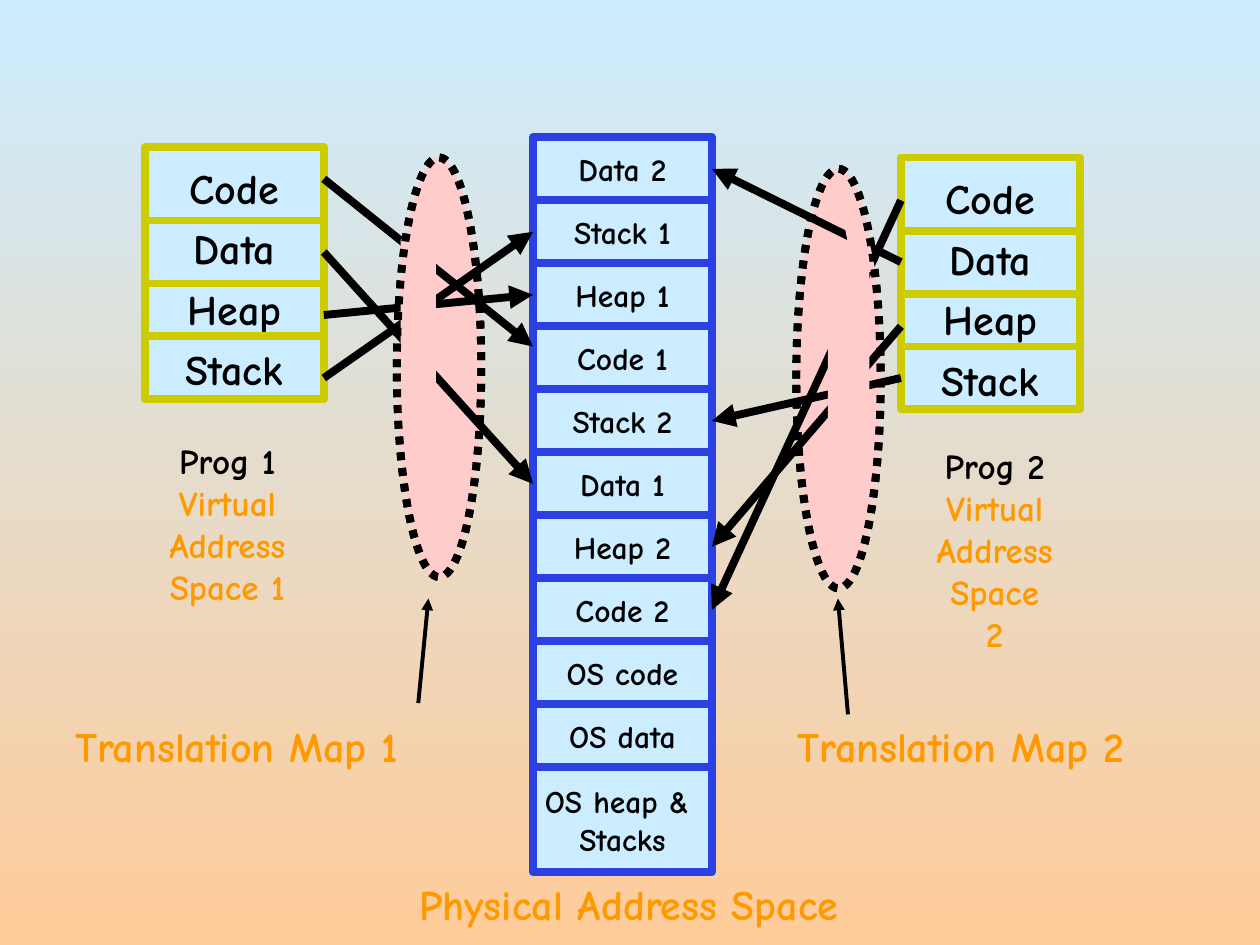
from dataclasses import dataclass
from lxml.etree import SubElement
from pptx import Presentation
from pptx.dml.color import RGBColor
from pptx.enum.dml import MSO_LINE_DASH_STYLE as Dash
from pptx.enum.shapes import MSO_CONNECTOR as Conn, MSO_SHAPE as Shape
from pptx.enum.text import MSO_ANCHOR as Anchor, MSO_AUTO_SIZE as AutoSize, PP_ALIGN as Align
from pptx.oxml.ns import qn
from pptx.util import Inches, Pt


@dataclass(frozen=True)
class Theme:
    font: str = "Comic Neue"
    ink: str = "000000"
    accent: str = "FF9900"
    cell: str = "CCECFF"
    ground: str = "FFCC99"
    virtual: str = "CCCC00"
    physical: str = "2A40E2"
    lens: str = "FFCCCC"
    big: int = 24
    mid: int = 20
    small: int = 18
    thick: float = 4.5
    thin: float = 2.25


T = Theme()
SEGMENTS = ["Code", "Data", "Heap", "Stack"]
MEMORY = ["Data 2", "Stack 1", "Heap 1", "Code 1", "Stack 2", "Data 1",
          "Heap 2", "Code 2", "OS code", "OS data", "OS heap & \nStacks"]
DIVIDERS = [0.58, 1.08, 1.5]
PROGRAMS = [
    dict(n=1, left=1.15, top=1.17, exits=[0.25, 0.83, 1.33, 1.83],
         label=(1.24, 3.44), lens=(3.15, 1.25)),
    dict(n=2, left=7.15, top=1.25, exits=[0.34, 0.83, 1.34, 1.75],
         label=(7.33, 3.48), lens=(6.32, 1.34)),
]
NUDGES = {"Code 1": -0.09}
MASKS = [(3.18, 1.9, 0.28, 1.5, 0), (6.57, 2.09, 0.33, 1.58, 0), (6.73, 1.67, 0.17, 0.5, 348.5)]
CAPTIONS = [("Translation Map 1", 0.5, 5.67, 2.77), ("Translation Map 2", 6.23, 5.67, 2.81),
            ("Physical Address Space", 3.23, 6.92, 3.54)]
POINTERS = [((3.32, 5.58), (3.4, 4.75)), ((6.73, 5.67), (6.65, 4.75))]
BOX_W, BOX_H = 1.42, 2
MEM_LEFT, MEM_TOP, ROW, LAST_ROW = 4.23, 1.09, 0.5, 0.83
LENS_SIZE = (0.67, 3.33)


def rgb(value):
    return RGBColor.from_string(value)


def write(sp, text, size, colors=(T.ink,), align=Align.CENTER, spacing=None):
    tf = sp.text_frame
    tf.word_wrap = False
    for i, line in enumerate(text.split("\n")):
        p = tf.paragraphs[0] if i == 0 else tf.add_paragraph()
        p.alignment = align
        if spacing:
            p.line_spacing = spacing
        r = p.add_run()
        r.text = line
        r.font.name, r.font.size, r.font.bold = T.font, Pt(size), True
        r.font.color.rgb = rgb(colors[min(i, len(colors) - 1)])


def label(shapes, text, x, y, w, h, **fmt):
    sp = shapes.add_textbox(*map(Inches, (x, y, w, h)))
    write(sp, text, **fmt)
    sp.text_frame.auto_size = AutoSize.SHAPE_TO_FIT_TEXT


def block(shapes, kind, x, y, w, h, fill=None, line=None, dash=None):
    sp = shapes.add_shape(kind, *map(Inches, (x, y, w, h)))
    sp.shadow.inherit = False
    if fill:
        sp.fill.solid()
        sp.fill.fore_color.rgb = rgb(fill)
    else:
        sp.fill.background()
    if line:
        sp.line.color.rgb = rgb(line)
        sp.line.width = Pt(T.thick)
        if dash:
            sp.line.dash_style = dash
    else:
        sp.line.fill.background()
    sp.text_frame.vertical_anchor = Anchor.MIDDLE
    return sp


def connect(shapes, start, end, color=T.ink, width=T.thick, arrow=True):
    c = shapes.add_connector(Conn.STRAIGHT, *map(Inches, (*start, *end)))
    c.line.color.rgb = rgb(color)
    c.line.width = Pt(width)
    if arrow:
        SubElement(c.line._get_or_add_ln(), qn("a:tailEnd"), type="triangle")
    SubElement(c._element.spPr, qn("a:effectLst"))


def add_lens(shapes, prog, fill=None):
    block(shapes, Shape.OVAL, *prog["lens"], *LENS_SIZE, fill, T.ink, Dash.ROUND_DOT)


def add_program(shapes, prog):
    x, y = prog["left"], prog["top"]
    label(shapes, f"Prog {prog['n']}\nVirtual\nAddress\nSpace {prog['n']}", *prog["label"],
          1.13, 1.43, size=T.mid, colors=(T.ink, T.accent))
    grp = shapes.add_group_shape().shapes
    sp = block(grp, Shape.RECTANGLE, x, y, BOX_W, BOX_H, T.cell, T.virtual)
    write(sp, "\n".join(SEGMENTS), T.big, spacing=1.2)
    for dy in DIVIDERS:
        connect(grp, (x, y + dy), (x + BOX_W, y + dy), T.virtual, arrow=False)


def add_memory(shapes):
    grp = shapes.add_group_shape().shapes
    for i, name in enumerate(MEMORY):
        h = LAST_ROW if i == len(MEMORY) - 1 else ROW
        sp = block(grp, Shape.RECTANGLE, MEM_LEFT, MEM_TOP + i * ROW, BOX_W, h,
                   T.cell, T.physical)
        write(sp, name, T.small)


def add_mappings(shapes, prog):
    on_left = prog["left"] < MEM_LEFT
    x1 = prog["left"] + (BOX_W if on_left else 0)
    x2 = MEM_LEFT + (0 if on_left else BOX_W)
    for segment, dy in zip(SEGMENTS, prog["exits"]):
        name = f"{segment} {prog['n']}"
        y2 = MEM_TOP + (MEMORY.index(name) + 0.5) * ROW + NUDGES.get(name, 0)
        connect(shapes, (x1, prog["top"] + dy), (x2, y2))


def main():
    prs = Presentation()
    prs.slide_width, prs.slide_height = Inches(10), Inches(7.5)
    s = prs.slides.add_slide(prs.slide_layouts[6])
    bg = s.background.fill
    bg.gradient()
    bg.gradient_angle = 270
    for stop, color, pos in zip(bg.gradient_stops, (T.cell, T.ground), (0, 1)):
        stop.color.rgb, stop.position = rgb(color), pos
    for prog in PROGRAMS:
        add_lens(s.shapes, prog, T.lens)
    for prog in PROGRAMS:
        add_program(s.shapes, prog)
    add_memory(s.shapes)
    for prog in PROGRAMS:
        add_mappings(s.shapes, prog)
    for *box, angle in MASKS:
        block(s.shapes, Shape.RECTANGLE, *box, T.lens).rotation = angle
    for prog in PROGRAMS:
        add_lens(s.shapes, prog)
    for text, x, y, w in CAPTIONS:
        label(s.shapes, text, x, y, w, 0.5, size=T.big, colors=(T.accent,), align=Align.LEFT)
    for start, end in POINTERS:
        connect(s.shapes, start, end, width=T.thin)
    prs.save("out.pptx")


if __name__ == "__main__":
    main()
